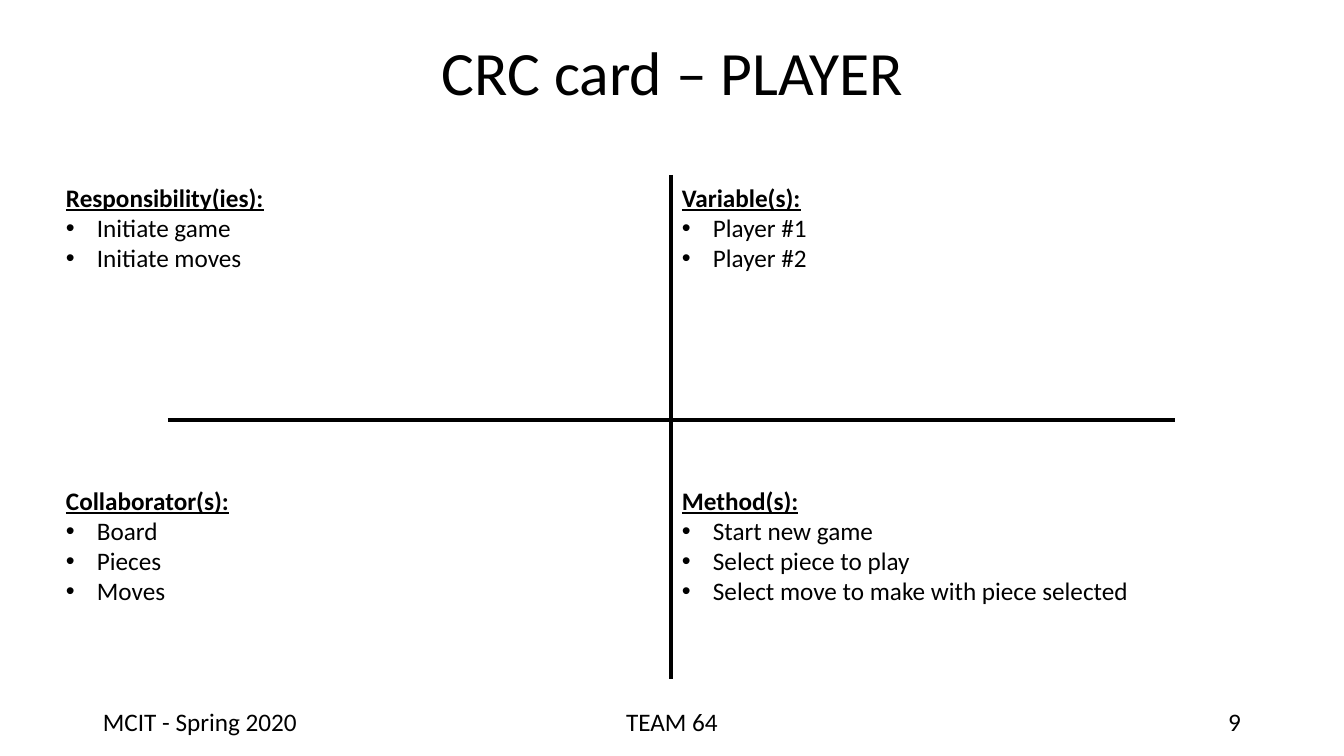
from dataclasses import dataclass

from lxml import etree
from pptx import Presentation
from pptx.dml.color import RGBColor
from pptx.enum.shapes import MSO_CONNECTOR
from pptx.enum.text import MSO_ANCHOR, PP_ALIGN
from pptx.oxml.ns import qn
from pptx.slide import Slide
from pptx.text.text import TextFrame
from pptx.util import Emu, Pt

EMU_PER_PIXEL = 914400 / 100.8


@dataclass(frozen=True)
class Theme:
    """Colours, font and type sizes of the slide."""
    ink: RGBColor = RGBColor(0, 0, 0)
    font: str = "Calibri"
    title_size: int = 44
    body_size: int = 18
    rule_width: int = 3


@dataclass(frozen=True)
class Box:
    """A rectangle in pixels."""
    left: int
    top: int
    width: int
    height: int


@dataclass(frozen=True)
class Label:
    """A single line of text."""
    text: str
    box: Box
    align: PP_ALIGN
    size: int
    anchor: MSO_ANCHOR = MSO_ANCHOR.TOP
    line_spacing: float = 1.0


@dataclass(frozen=True)
class Quadrant:
    """One section of the CRC card, placed by grid column and row."""
    column: int
    row: int
    heading: str
    items: tuple[str, ...]


THEME = Theme()
COLUMN_LEFTS = (61, 677)
ROW_TOPS = (177, 480)
QUADRANT_SIZE = (554, 202)
BULLET_INDENT = 31
FOOTER_TOP, FOOTER_HEIGHT = 701, 40

LABELS = (
    Label("CRC card – PLAYER", Box(93, 3, 1159, 146), PP_ALIGN.CENTER,
          THEME.title_size, MSO_ANCHOR.MIDDLE, 0.9),
    Label("MCIT - Spring 2020", Box(93, FOOTER_TOP, 302, FOOTER_HEIGHT),
          PP_ALIGN.LEFT, THEME.body_size),
    Label("TEAM 64", Box(445, FOOTER_TOP, 454, FOOTER_HEIGHT),
          PP_ALIGN.CENTER, THEME.body_size),
    Label("9", Box(949, FOOTER_TOP, 302, FOOTER_HEIGHT),
          PP_ALIGN.RIGHT, THEME.body_size),
)

QUADRANTS = (
    Quadrant(0, 0, "Responsibility(ies):", ("Initiate game", "Initiate moves")),
    Quadrant(0, 1, "Collaborator(s):", ("Board", "Pieces", "Moves")),
    Quadrant(1, 0, "Variable(s):", ("Player #1", "Player #2")),
    Quadrant(1, 1, "Method(s):", ("Start new game", "Select piece to play",
                                  "Select move to make with piece selected")),
)

CROSS_RULES = ((671, 175, 671, 679), (168, 420, 1175, 420))


def px(pixels: int) -> Emu:
    """Convert pixels to EMU."""
    return Emu(round(pixels * EMU_PER_PIXEL))


def add_text_frame(slide: Slide, box: Box, side_inset: int) -> TextFrame:
    """Add a wrapping text box and return its frame."""
    shape = slide.shapes.add_textbox(
        px(box.left), px(box.top), px(box.width), px(box.height))
    frame = shape.text_frame
    frame.word_wrap = True
    frame.margin_left = frame.margin_right = px(side_inset)
    frame.margin_top = frame.margin_bottom = px(5)
    return frame


def add_run(paragraph, text: str, size: int, heading: bool = False) -> None:
    """Add a run in the theme font, bold and underlined for a heading."""
    run = paragraph.add_run()
    run.text = text
    run.font.name = THEME.font
    run.font.size = Pt(size)
    run.font.color.rgb = THEME.ink
    run.font.bold = run.font.underline = heading


def set_bullet(paragraph) -> None:
    """Give a paragraph a hanging round bullet."""
    properties = paragraph._p.get_or_add_pPr()
    properties.set("marL", str(px(BULLET_INDENT)))
    properties.set("indent", str(-px(BULLET_INDENT)))
    etree.SubElement(properties, qn("a:buFont"), typeface="Arial")
    etree.SubElement(properties, qn("a:buChar"), char="•")


def add_label(slide: Slide, label: Label) -> None:
    """Draw a title or footer label."""
    frame = add_text_frame(slide, label.box, side_inset=10)
    frame.vertical_anchor = label.anchor
    paragraph = frame.paragraphs[0]
    paragraph.alignment = label.align
    paragraph.line_spacing = label.line_spacing
    add_run(paragraph, label.text, label.size)


def add_quadrant(slide: Slide, quadrant: Quadrant) -> None:
    """Draw a heading and its bulleted items."""
    box = Box(COLUMN_LEFTS[quadrant.column], ROW_TOPS[quadrant.row],
              *QUADRANT_SIZE)
    frame = add_text_frame(slide, box, side_inset=5)
    add_run(frame.paragraphs[0], quadrant.heading, THEME.body_size, heading=True)
    for item in quadrant.items:
        paragraph = frame.add_paragraph()
        set_bullet(paragraph)
        add_run(paragraph, item, THEME.body_size)


def add_rule(slide: Slide, ends: tuple[int, int, int, int]) -> None:
    """Draw one straight line of the dividing cross."""
    rule = slide.shapes.add_connector(
        MSO_CONNECTOR.STRAIGHT, *(px(end) for end in ends))
    rule.line.color.rgb = THEME.ink
    rule.line.width = Pt(THEME.rule_width)
    etree.SubElement(rule._element.spPr, qn("a:effectLst"))


def main() -> None:
    """Build and save the CRC card slide."""
    presentation = Presentation()
    presentation.slide_width, presentation.slide_height = px(1344), px(756)
    slide = presentation.slides.add_slide(presentation.slide_layouts[6])
    for ends in CROSS_RULES:
        add_rule(slide, ends)
    for label in LABELS:
        add_label(slide, label)
    for quadrant in QUADRANTS:
        add_quadrant(slide, quadrant)
    presentation.save("out.pptx")


main()
